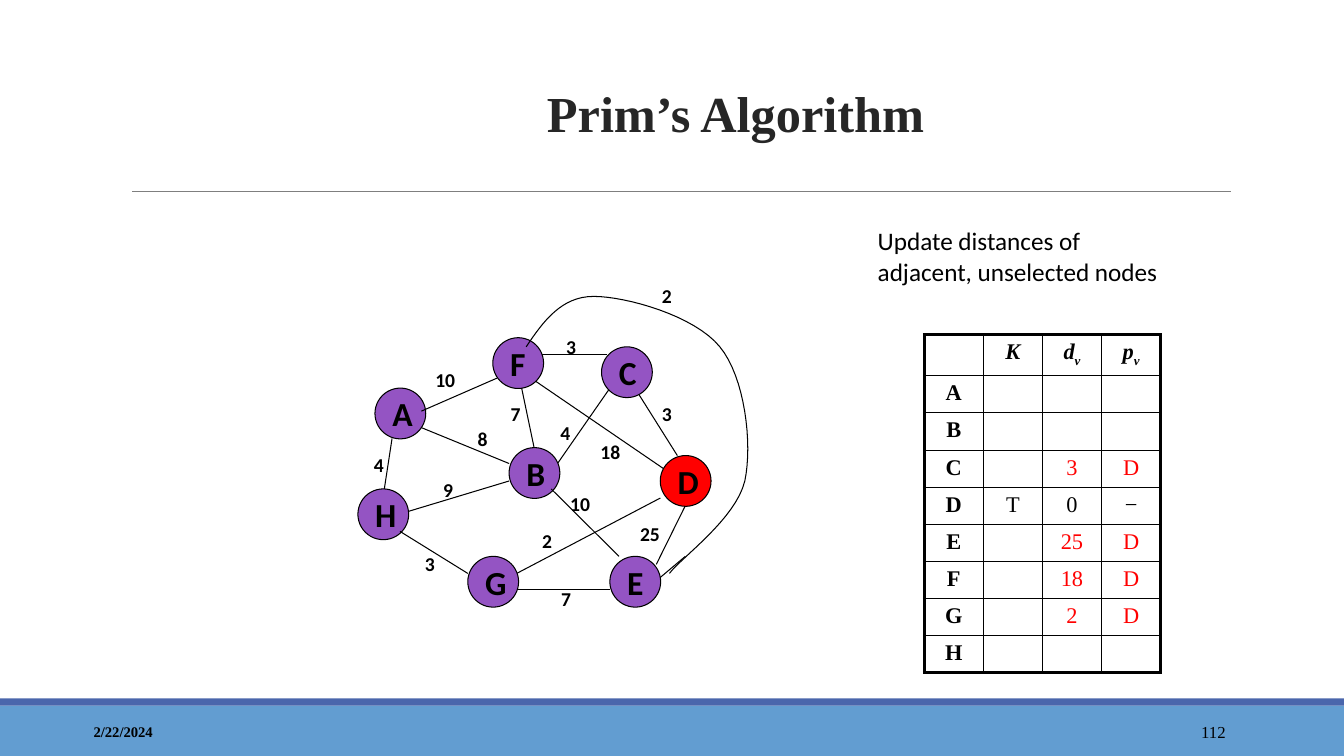
from pptx import Presentation
from pptx.dml.color import RGBColor as RGB
from pptx.enum.shapes import MSO_CONNECTOR as CONN, MSO_SHAPE as SHAPE
from pptx.enum.text import MSO_ANCHOR as ANCHOR, PP_ALIGN as ALIGN
from pptx.oxml.ns import qn
from pptx.util import Cm, Pt
from lxml.etree import SubElement


class Theme:
    sans, serif = "Calibri", "Times New Roman"
    black, title = RGB(0, 0, 0), RGB(0x26, 0x26, 0x26)
    red, purple = RGB(0xFF, 0, 0), RGB(0x94, 0x54, 0xC3)
    rule, footer, strip = RGB(0x7F, 0x7F, 0x7F), RGB(0x62, 0x9D, 0xD1), RGB(0x4A, 0x66, 0xAC)
    title_size, node_size, note_size, cell_size = Pt(36), Pt(24), Pt(18), Pt(16)
    weight_size, number_size, date_size = Pt(14), Pt(12), Pt(10.5)
    thin, cell_line, frame_line = Pt(0.75), Pt(1), Pt(2.25)


def add_run(p, text, size, font=Theme.sans, color=Theme.black, bold=False):
    r = p.add_run()
    r.text = text
    r.font.size, r.font.name, r.font.bold = size, font, bold
    r.font.color.rgb = color
    return r


def add_lines(ends, color=Theme.black):
    for x1, y1, x2, y2 in ends:
        line = s.shapes.add_connector(CONN.STRAIGHT, Cm(x1), Cm(y1), Cm(x2), Cm(y2))
        line.line.color.rgb, line.line.width = color, Theme.thin
        SubElement(line._element.spPr, qn("a:effectLst"))


prs = Presentation()
prs.slide_width, prs.slide_height = Cm(33.87), Cm(19.05)
s = prs.slides.add_slide(prs.slide_layouts[5])

# Footer bands and title rule
for top, height, color in [(17.78, 1.27, Theme.footer), (17.6, 0.18, Theme.strip)]:
    band = s.shapes.add_shape(SHAPE.RECTANGLE, 0, Cm(top), prs.slide_width, Cm(height))
    band.shadow.inherit = False
    band.fill.solid()
    band.fill.fore_color.rgb = color
    band.line.fill.background()
add_lines([(3.33, 4.83, 31.01, 4.83)], Theme.rule)

# Title
title = s.shapes.title
title.left, title.top, title.width, title.height = Cm(4.57), Cm(1.04), Cm(27.94), Cm(2.69)
tf = title.text_frame
tf.word_wrap, tf.vertical_anchor = True, ANCHOR.BOTTOM
p = tf.paragraphs[0]
p.alignment, p.line_spacing = ALIGN.CENTER, 1.1
add_run(p, "Prim’s Algorithm", Theme.title_size, Theme.serif, Theme.title, True)

# Edges that run behind the nodes
add_lines([
    (17.58, 12.12, 16.54, 14.22),  # D-E
    (13.06, 9.37, 13.46, 11.28),   # F-B
    (13.89, 11.91, 15.37, 9.78),   # B-C
    (16.87, 11.91, 13.46, 9.58),   # D-F
    (10.08, 12.95, 12.83, 12.12),  # H-B
    (12.62, 14.66, 16.64, 12.55),  # G-D
    (9.65, 12.55, 9.88, 11.05),    # H-A
    (10.29, 10.64, 12.83, 11.68),  # A-B
    (13.59, 8.94, 15.29, 8.94),    # F-C
    (16, 9.78, 17.07, 11.48),      # C-D
])

# Nodes, with the selected one in red
nodes = {"A": (9.45, 9.78), "H": (9.02, 12.32), "B": (12.83, 11.28), "F": (12.42, 8.51),
         "E": (15.37, 14.02), "D": (16.64, 11.48), "C": (15.16, 8.74), "G": (11.79, 14.02)}
for name, (left, top) in nodes.items():
    node = s.shapes.add_shape(SHAPE.OVAL, Cm(left), Cm(top), Cm(1.28), Cm(1.28))
    node.shadow.inherit = False
    node.fill.solid()
    node.fill.fore_color.rgb = Theme.red if name == "D" else Theme.purple
    node.line.color.rgb, node.line.width = Theme.black, Theme.thin
    tf = node.text_frame
    tf.word_wrap, tf.vertical_anchor = True, ANCHOR.MIDDLE
    p = tf.paragraphs[0]
    p.alignment = ALIGN.LEFT
    add_run(p, name, Theme.node_size, bold=True)

# Edges that run in front of the nodes
add_lines([
    (13.89, 12.32, 15.6, 14.02),   # B-E
    (15.37, 14.86, 13.06, 14.86),  # E-G
    (11.79, 14.45, 10.08, 13.39),  # G-H
    (10.62, 10.36, 12.52, 9.53),   # A-F
    (17.27, 14.02, 16.64, 14.55),  # end of the curve at E
])

# Curved edge F-E: four cubic arcs, each drawn in short steps
curve = [(13.26, 8.74), (13.69, 8.1), (14.15, 7.47), (14.96, 7.47), (15.77, 7.47),
         (17.5, 7.95), (18.14, 8.74), (18.77, 9.5), (18.97, 11.18), (18.77, 12.12),
         (18.54, 13.08), (17.17, 14.05), (16.87, 14.45)]
steps = 16
points = []
for i in range(0, len(curve) - 1, 3):
    for t in [k / steps for k in range(1, steps + 1)]:
        factors = ((1 - t) ** 3, 3 * t * (1 - t) ** 2, 3 * t ** 2 * (1 - t), t ** 3)
        arc = list(zip(factors, curve[i:i + 4]))
        points.append((Cm(sum(f * x for f, (x, y) in arc)), Cm(sum(f * y for f, (x, y) in arc))))
builder = s.shapes.build_freeform(Cm(curve[0][0]), Cm(curve[0][1]))
builder.add_line_segments(points, close=False)
sp = builder.convert_to_shape()
sp.shadow.inherit = False
sp.fill.background()
sp.line.color.rgb, sp.line.width = Theme.black, Theme.thin

# Edge weights
weights = [("4", 9.17, 11.28), ("25", 15.88, 13.03), ("7", 13.89, 14.66), ("2", 13.41, 13.21),
           ("10", 14.12, 12.27), ("18", 14.88, 10.97), ("3", 16.43, 10.01), ("4", 13.87, 10.49),
           ("3", 14.02, 8.31), ("7", 12.62, 10.01), ("8", 11.79, 10.64), ("9", 10.92, 11.91),
           ("3", 10.46, 13.79), ("10", 10.72, 9.14), ("2", 16.43, 7.04)]
texts = [(text, left, top, 0.36 + 0.48 * len(text), 0.84, Theme.weight_size, Theme.sans, True,
          ALIGN.LEFT, ANCHOR.TOP) for text, left, top in weights]

# Note, date and slide number
texts += [
    ("Update distances of adjacent, unselected nodes", 21.87, 5.56, 8.05, 1.96,
     Theme.note_size, Theme.sans, False, ALIGN.LEFT, ANCHOR.TOP),
    ("2/22/2024", 2.11, 17.93, 7.62, 1.02,
     Theme.date_size, Theme.serif, True, ALIGN.LEFT, ANCHOR.MIDDLE),
    ("112", 27.51, 17.93, 3.63, 1.02,
     Theme.number_size, Theme.serif, False, ALIGN.RIGHT, ANCHOR.MIDDLE),
]
for text, left, top, width, height, size, font, bold, align, anchor in texts:
    tf = s.shapes.add_textbox(Cm(left), Cm(top), Cm(width), Cm(height)).text_frame
    tf.word_wrap, tf.vertical_anchor = True, anchor
    p = tf.paragraphs[0]
    p.alignment = align
    add_run(p, text, size, font, bold=bold)

# Distance table
rows = [("", "K", "dv", "pv"), ("A", "", "", ""), ("B", "", "", ""), ("C", "", "3", "D"),
        ("D", "T", "0", "−"), ("E", "", "25", "D"), ("F", "", "18", "D"), ("G", "", "2", "D"),
        ("H", "", "", "")]
last_row, last_col = len(rows) - 1, len(rows[0]) - 1
table = s.shapes.add_table(len(rows), len(rows[0]), Cm(23.29), Cm(8.43), Cm(5.96), Cm(8.4)).table
table.first_row = table.horz_banding = False
for col in table.columns:
    col.width = Cm(1.49)
for i, row in enumerate(rows):
    table.rows[i].height = Cm(0.96 if i == 2 else 0.93)
    for j, text in enumerate(row):
        cell = table.cell(i, j)
        p = cell.text_frame.paragraphs[0]
        p.alignment = ALIGN.CENTER
        p.font.size, p.font.name = Theme.cell_size, Theme.serif
        updated = j > 0 and i > 0 and row[0] != "D"
        # In the header, a second letter is a subscript
        for k, part in enumerate(text if i == 0 else [text] if text else []):
            r = add_run(p, part, Theme.cell_size, Theme.serif,
                        Theme.red if updated else Theme.black, i == 0 or j == 0)
            r.font.italic = i == 0
            if k:
                r._r.get_or_add_rPr().set("baseline", "-25000")
        # Thin grid inside, thick frame outside
        tcPr = cell._tc.get_or_add_tcPr()
        for side, outer in [("L", j == 0), ("R", j == last_col), ("T", i == 0), ("B", i == last_row)]:
            width = Theme.frame_line if outer else Theme.cell_line
            ln = SubElement(tcPr, qn("a:ln" + side), w=str(width))
            SubElement(SubElement(ln, qn("a:solidFill")), qn("a:srgbClr"), val=str(Theme.black))
        cell.fill.background()

prs.save("out.pptx")
